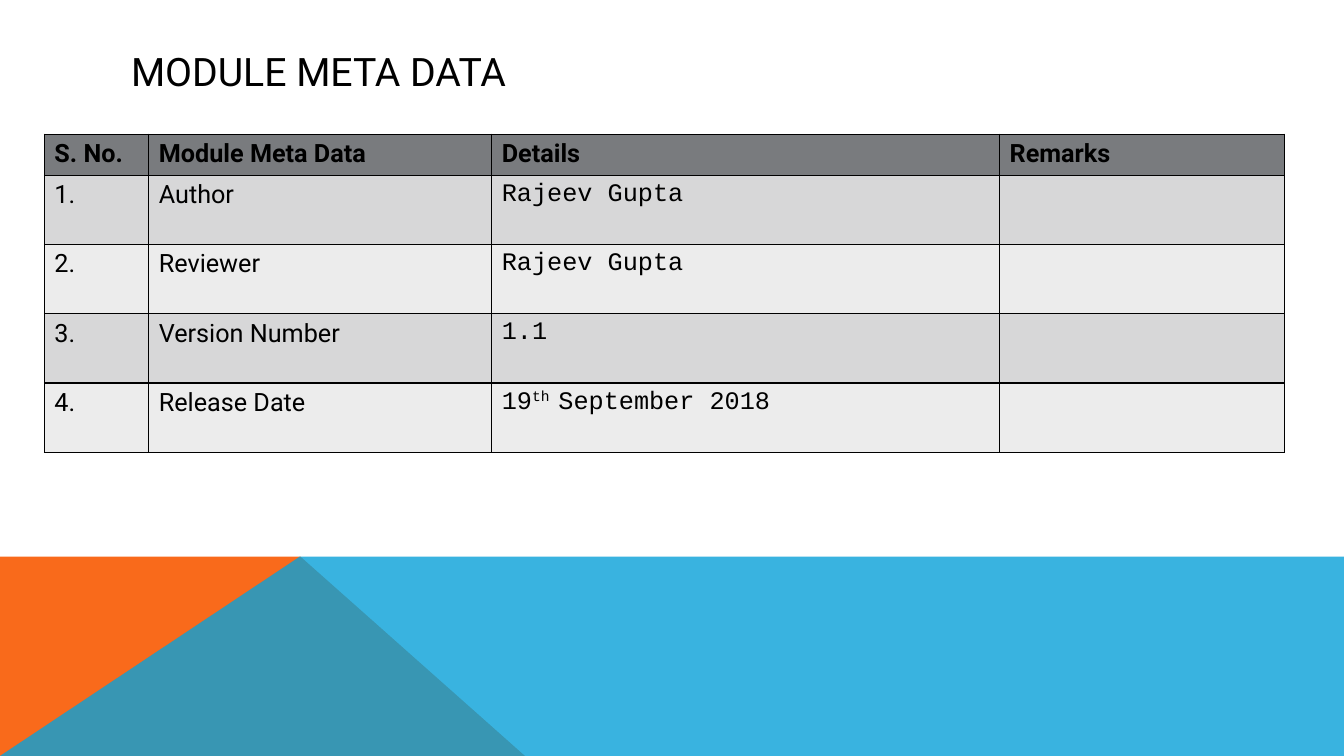
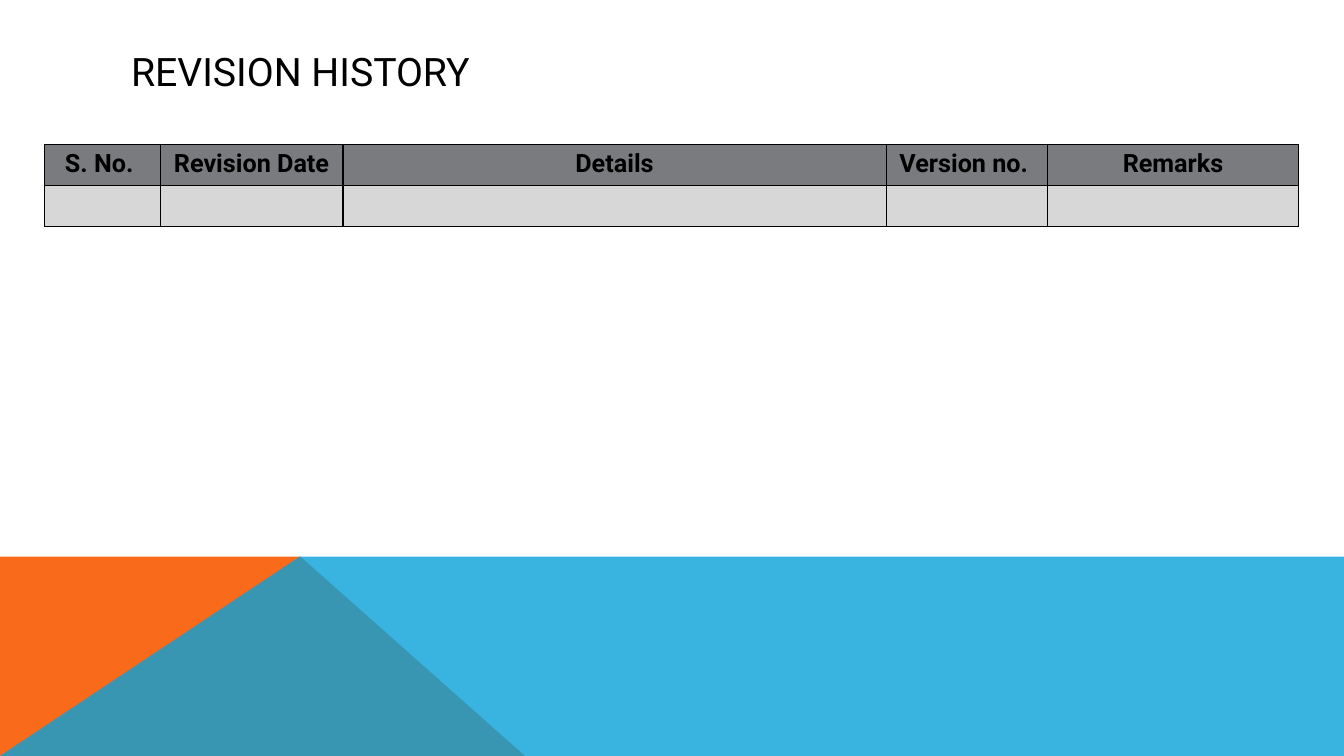
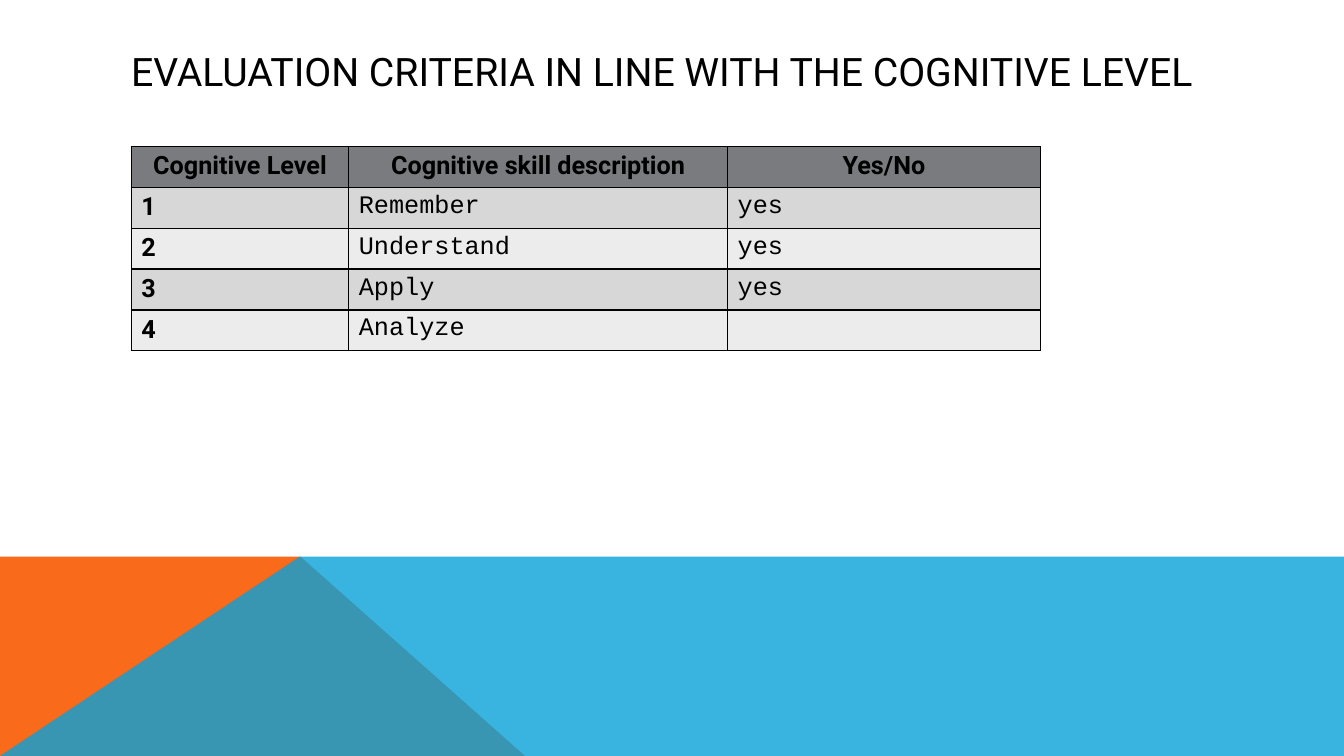
import lxml.etree
import pptx
import pptx.dml.color
import pptx.enum.text
import pptx.oxml.ns
import pptx.util

Pt = pptx.util.Pt
qn = pptx.oxml.ns.qn
LEFT = pptx.enum.text.PP_ALIGN.LEFT
CENTER = pptx.enum.text.PP_ALIGN.CENTER


class ModuleDeck:
    """Holds the module style and the current slide."""

    COLORS = {
        "text": "000000",
        "border": "000000",
        "orange": "F96A1B",
        "blue": "08A1D9",
        "header": "797B7E",
        "odd": "D7D7D8",
        "even": "ECECEC",
    }
    TEXT_FONT = "Roboto"
    CODE_FONT = "Courier New"
    WIDTH, HEIGHT = 960, 540
    BAND_TOP = 397.6
    HEADER_HEIGHT = 29.2

    def __init__(self):
        self.presentation = pptx.Presentation()
        self.presentation.slide_width = Pt(self.WIDTH)
        self.presentation.slide_height = Pt(self.HEIGHT)
        self.layout = self.presentation.slide_layouts.get_by_name("Title Only")
        self.slide = None

    def color(self, key):
        return pptx.dml.color.RGBColor.from_string(self.COLORS[key])

    def add_slide(self, heading):
        first = self.slide is None
        self.slide = self.presentation.slides.add_slide(self.layout)
        if first:
            self.add_shared_bands()
        self.add_title(heading)

    def add_shared_bands(self):
        top, right, bottom = self.BAND_TOP, self.WIDTH, self.HEIGHT
        orange = self.add_band(
            "orange", [(0, bottom), (0, top), (214.6, top), (375, bottom)])
        blue = self.add_band(
            "blue", [(0, bottom), (214.2, top), (right, top), (right, bottom)], 80)
        for position, band in enumerate((orange, blue), start=2):
            self.layout.shapes.element.insert(position, band.element)

    def add_band(self, color, corners, opacity=100):
        points = [(Pt(x), Pt(y)) for x, y in corners]
        outline = self.slide.shapes.build_freeform(*points[0])
        outline.add_line_segments(points[1:], close=True)
        band = outline.convert_to_shape()
        band.shadow.inherit = False
        band.line.fill.background()
        band.fill.solid()
        band.fill.fore_color.rgb = self.color(color)
        if opacity < 100:
            fill = band.element.spPr.find(qn("a:solidFill"))
            lxml.etree.SubElement(fill[0], qn("a:alpha"), val=str(opacity * 1000))
        return band

    def add_title(self, heading):
        title = self.slide.shapes.title
        title.left, title.top = Pt(86.4), Pt(28.8)
        title.width, title.height = Pt(790), Pt(43.2)
        frame = title.text_frame
        frame.word_wrap = True
        frame.auto_size = pptx.enum.text.MSO_AUTO_SIZE.NONE
        frame.vertical_anchor = pptx.enum.text.MSO_ANCHOR.MIDDLE
        frame.text = heading
        self.format_paragraph(frame.paragraphs[0], 28)

    def format_paragraph(self, paragraph, size, font=TEXT_FONT, bold=False, align=LEFT):
        paragraph.alignment = align
        paragraph.font.name = font
        paragraph.font.size = Pt(size)
        paragraph.font.bold = bold
        paragraph.font.color.rgb = self.color("text")

    def add_table(self, left, top, widths, rows, row_height=HEADER_HEIGHT,
                  code_from=None, header_align=CENTER, bold_first=False):
        heights = [self.HEADER_HEIGHT] + [row_height] * (len(rows) - 1)
        table = self.slide.shapes.add_table(
            len(rows), len(widths), Pt(left), Pt(top),
            Pt(sum(widths)), Pt(sum(heights))).table
        table.horz_banding = False
        for column, width in zip(table.columns, widths):
            column.width = Pt(width)
        for row, height in zip(table.rows, heights):
            row.height = Pt(height)
        for r, entries in enumerate(rows):
            fill = "header" if r == 0 else "odd" if r % 2 else "even"
            for c, entry in enumerate(entries):
                cell = table.cell(r, c)
                self.style_cell(cell, fill)
                paragraph = cell.text_frame.paragraphs[0]
                code = r > 0 and code_from is not None and c >= code_from
                self.format_paragraph(
                    paragraph, 18,
                    font=self.CODE_FONT if code else self.TEXT_FONT,
                    bold=r == 0 or (bold_first and c == 0),
                    align=header_align if r == 0 else LEFT)
                self.write_entry(paragraph, entry)

    def write_entry(self, paragraph, entry):
        """Write the text, raising the parts between carets."""
        for index, part in enumerate(entry.split("^")):
            if part:
                run = paragraph.add_run()
                run.text = part
                if index % 2:
                    run._r.get_or_add_rPr().set("baseline", "30000")

    def style_cell(self, cell, fill):
        properties = cell._tc.get_or_add_tcPr()
        for side in ("lnL", "lnR", "lnT", "lnB"):
            border = lxml.etree.SubElement(properties, qn(f"a:{side}"), w=str(Pt(1)))
            paint = lxml.etree.SubElement(border, qn("a:solidFill"))
            lxml.etree.SubElement(paint, qn("a:srgbClr"), val=self.COLORS["border"])
        cell.fill.solid()
        cell.fill.fore_color.rgb = self.color(fill)


def main():
    deck = ModuleDeck()

    deck.add_slide("MODULE META DATA")
    deck.add_table(31.7, 95.9, [74.6, 245, 362.8, 203.2], [
        ["S. No.", "Module Meta Data", "Details", "Remarks"],
        ["1.", "Author", "Rajeev Gupta", ""],
        ["2.", "Reviewer", "Rajeev Gupta", ""],
        ["3.", "Version Number", "1.1", ""],
        ["4.", "Release Date", "19^th ^September 2018", ""],
    ], row_height=49.5, code_from=2, header_align=LEFT)

    deck.add_slide("REVISION HISTORY")
    deck.add_table(31.7, 103.3, [82.8, 130.5, 388, 115.4, 179.2], [
        ["S. No. ", "Revision Date", "Details", "Version no. ", "Remarks"],
        [""] * 5,
    ])

    deck.add_slide("EVALUATION CRITERIA IN LINE WITH THE COGNITIVE LEVEL")
    deck.add_table(93.8, 104.6, [155.3, 270.7, 223.4], [
        ["Cognitive Level", "Cognitive skill description", "Yes/No"],
        ["1", "Remember", "yes"],
        ["2", "Understand", "yes"],
        ["3", "Apply", "yes"],
        ["4", "Analyze", ""],
    ], code_from=1, bold_first=True)

    deck.presentation.save("out.pptx")


if __name__ == "__main__":
    main()
